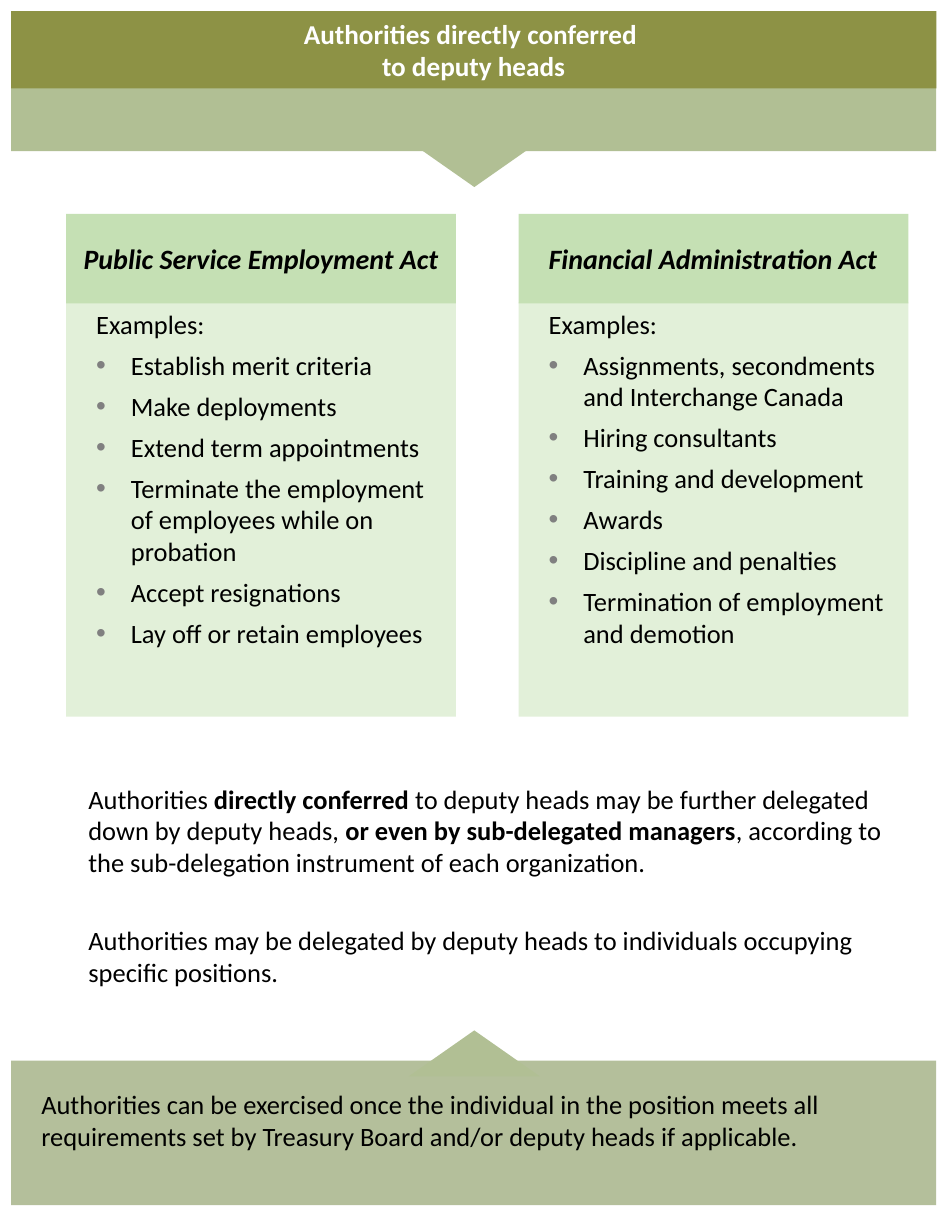
"""Build the one-page slide on authorities conferred to deputy heads."""
from dataclasses import dataclass

from lxml import etree
from pptx import Presentation
from pptx.dml.color import RGBColor
from pptx.enum.shapes import MSO_SHAPE as Shape
from pptx.enum.text import MSO_ANCHOR as Anchor, MSO_AUTO_SIZE as AutoSize, PP_ALIGN as Align
from pptx.oxml.ns import qn
from pptx.util import Inches, Pt

COLORS = {
    "olive": "8D9245", "sage": "B1BF94", "footer": "B4BF9B", "header": "C5E0B4",
    "panel": "E2F0D9", "bullet": "808080", "black": "000000", "white": "FFFFFF",
}
BODY = {"size": Pt(17), "name": "Calibri"}
HEADING = {"size": Pt(18), "name": "Calibri", "bold": True, "italic": True}
TITLE = {"size": Pt(17.5), "name": "Calibri", "bold": True}


@dataclass
class Panel:
    left: float
    act: str
    align: Align
    indent: float
    examples: list[str]


PANELS = [
    Panel(0.59, "Public Service Employment Act", Align.CENTER, 0, [
        "Establish merit criteria",
        "Make deployments",
        "Extend term appointments",
        "Terminate the employment of employees while on probation",
        "Accept resignations",
        "Lay off or retain employees",
    ]),
    Panel(4.63, "Financial\u00a0Administration Act", Align.LEFT, 0.17, [
        "Assignments, secondments and Interchange Canada",
        "Hiring consultants",
        "Training and development",
        "Awards",
        "Discipline and penalties",
        "Termination of employment and demotion",
    ]),
]
DELEGATION = [
    ("Authorities ", False),
    ("directly conferred ", True),
    ("to deputy heads may be further delegated down by deputy heads, ", False),
    ("or even by sub-delegated managers", True),
    (", according to the sub-delegation instrument of each organization.", False),
]


def place(sp, left: float, top: float, width: float, height: float) -> None:
    box = {"left": left, "top": top, "width": width, "height": height}
    for key, value in box.items():
        setattr(sp, key, Inches(value))


def fill(sp, color: str) -> None:
    sp.fill.solid()
    sp.fill.fore_color.rgb = RGBColor.from_string(COLORS[color])


def add_block(s, kind: Shape, color: str, *box: float):
    sp = s.shapes.add_shape(kind, *map(Inches, box))
    sp.shadow.inherit = False
    fill(sp, color)
    sp.line.fill.background()
    return sp


def set_frame(sp, anchor: Anchor = Anchor.TOP):
    tf = sp.text_frame
    frame = {"word_wrap": True, "auto_size": AutoSize.NONE, "vertical_anchor": anchor}
    for key, value in frame.items():
        setattr(tf, key, value)
    return tf


def add_run(p, text: str, style: dict, color: str = "black") -> None:
    r = p.add_run()
    r.text = text
    for key, value in style.items():
        setattr(r.font, key, value)
    r.font.color.rgb = RGBColor.from_string(COLORS[color])


def format_paragraph(p, align: Align = Align.LEFT, margin: float = 0.17,
                     hanging: float = 0, after: float = 5.9) -> None:
    p.alignment = align
    p.space_after = Pt(after)
    pPr = p._p.get_or_add_pPr()
    pPr.set("marL", str(Inches(margin)))
    pPr.set("indent", str(Inches(-hanging)))


def add_bullet(p) -> None:
    pPr = p._p.get_or_add_pPr()
    color = etree.SubElement(pPr, qn("a:buClr"))
    etree.SubElement(color, qn("a:srgbClr"), val=COLORS["bullet"])
    etree.SubElement(pPr, qn("a:buSzPct"), val="105000")
    etree.SubElement(pPr, qn("a:buFont"), typeface="Arial")
    etree.SubElement(pPr, qn("a:buChar"), char="•")


def add_panel(s, panel: Panel) -> None:
    body = add_block(s, Shape.RECTANGLE, "panel", panel.left, 2.7, 3.48, 3.7)
    tf = set_frame(body)
    p = tf.paragraphs[0]
    format_paragraph(p)
    add_run(p, "Examples:", BODY)
    for example in panel.examples:
        p = tf.add_paragraph()
        format_paragraph(p, margin=0.48, hanging=0.31)
        add_bullet(p)
        add_run(p, example, BODY)
    header = add_block(s, Shape.RECTANGLE, "header", panel.left, 1.91, 3.48, 0.8)
    p = set_frame(header, Anchor.MIDDLE).paragraphs[0]
    format_paragraph(p, panel.align, panel.indent, after=0)
    add_run(p, panel.act, HEADING)


def add_title(s) -> None:
    title = s.shapes.title
    place(title, 0.1, 0.1, 8.26, 0.69)
    fill(title, "olive")
    tf = set_frame(title)
    lines = ["Authorities directly conferred\u00a0", "to deputy heads"]
    for i, line in enumerate(lines):
        p = tf.add_paragraph() if i else tf.paragraphs[0]
        p.alignment = Align.CENTER
        add_run(p, line, TITLE, "white")
    s.shapes._spTree.append(title._element)


def add_text(s, *box: float):
    return set_frame(s.shapes.add_textbox(*map(Inches, box)))


def main() -> None:
    prs = Presentation()
    prs.slide_width, prs.slide_height = Inches(8.5), Inches(11)
    s = prs.slides.add_slide(prs.slide_layouts[5])

    add_block(s, Shape.ISOSCELES_TRIANGLE, "sage", 3.65, 1.26, 1.17, 0.41).rotation = 180
    add_block(s, Shape.RECTANGLE, "sage", 0.1, 0.54, 8.26, 0.81)
    add_title(s)

    for panel in PANELS:
        add_panel(s, panel)

    tf = add_text(s, 0.52, 6.94, 7.59, 1.94)
    p = tf.paragraphs[0]
    format_paragraph(p, after=29.5)
    for text, bold in DELEGATION:
        add_run(p, text, BODY | {"bold": bold})
    p = tf.add_paragraph()
    format_paragraph(p, after=8.8)
    add_run(p, "Authorities may be delegated by deputy heads to individuals "
               "occupying specific positions.", BODY)

    add_block(s, Shape.RECTANGLE, "footer", 0.1, 9.47, 8.26, 1.29)
    add_block(s, Shape.ISOSCELES_TRIANGLE, "sage", 3.65, 9.2, 1.17, 0.41)
    p = add_text(s, 0.1, 9.67, 8.01, 0.67).paragraphs[0]
    format_paragraph(p)
    add_run(p, "Authorities can be exercised once the individual in the position meets all "
               "requirements set by Treasury Board and/or deputy heads if applicable.", BODY)

    prs.save("out.pptx")


main()
